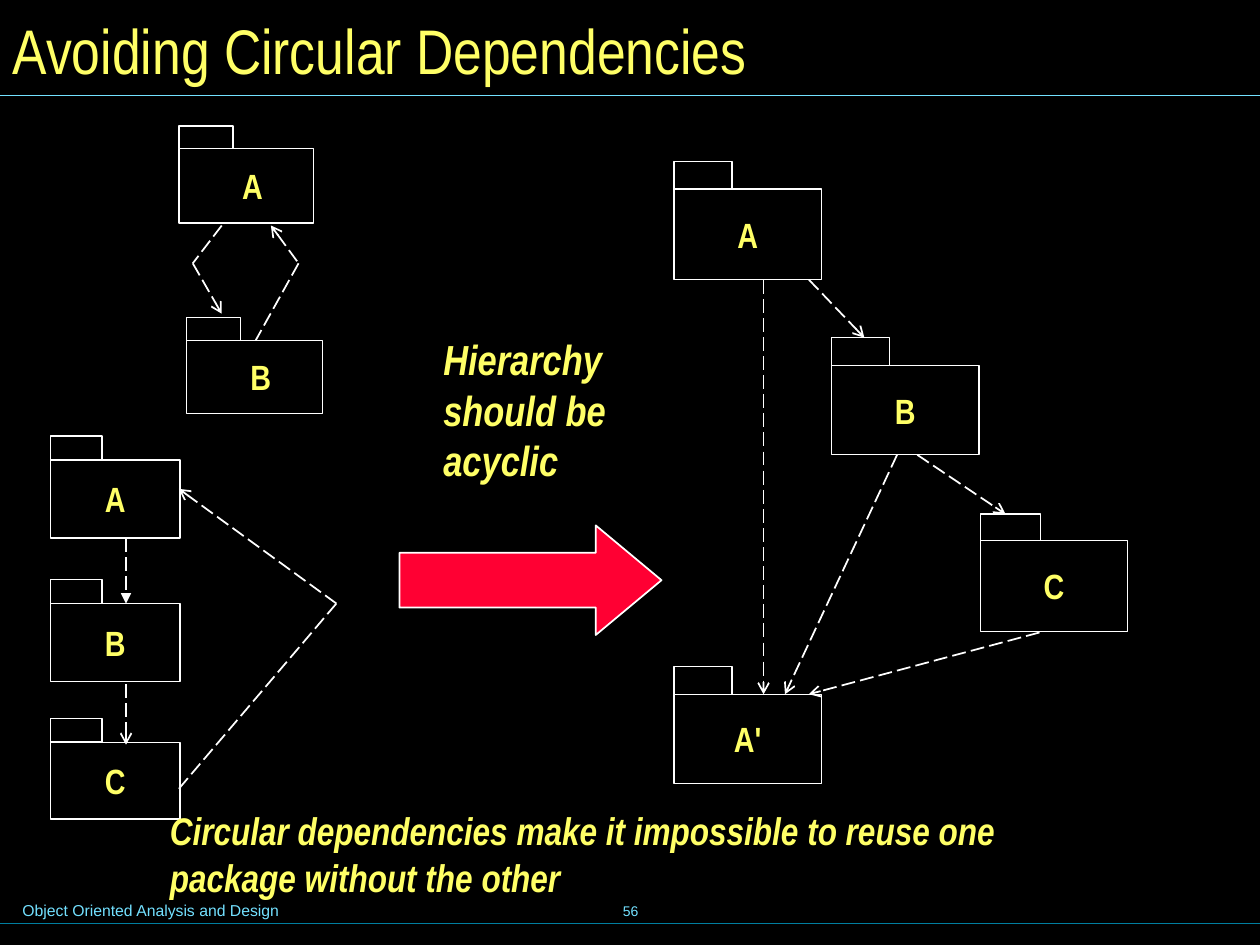
from dataclasses import dataclass

from lxml.etree import SubElement
from pptx import Presentation
from pptx.dml.color import RGBColor
from pptx.enum.dml import MSO_LINE
from pptx.enum.shapes import MSO_CONNECTOR, MSO_SHAPE
from pptx.enum.text import MSO_ANCHOR, PP_ALIGN
from pptx.oxml.ns import qn
from pptx.util import Inches, Pt

HUES = {"back": "000000", "text": "FFFF66", "line": "FFFFFF",
        "foot": "73E1FF", "rule": "007E9F", "arrow": "FF0033"}
HEAD = {"name": "Arial Narrow", "size": Pt(36), "bold": False}
LABEL = {"name": "Arial Narrow", "size": Pt(20), "bold": True}
NOTE = {"name": "Arial Narrow", "size": Pt(24), "bold": True, "italic": True}
FOOT = {"name": "Arial", "size": Pt(9)}


@dataclass
class Folder:
    name: str
    x: float
    y: float  # top of the body
    w: float
    h: float
    tab_w: float
    tab_h: float
    pad: float = 0  # moves the label right by half of this


@dataclass
class Link:
    start: tuple[float, float]
    end: tuple[float, float]
    head: str = ""
    tail: str = "arrow"


FOLDERS = [
    # Two-package cycle
    Folder("A", 1.42, 1.18, 1.07, 0.59, 0.43, 0.18, 0.1),
    Folder("B", 1.48, 2.7, 1.08, 0.58, 0.43, 0.18, 0.1),
    # Three-package cycle
    Folder("A", 0.4, 3.65, 1.03, 0.62, 0.41, 0.19),
    Folder("B", 0.4, 4.79, 1.03, 0.62, 0.41, 0.19),
    Folder("C", 0.4, 5.89, 1.03, 0.61, 0.41, 0.19),
    # Acyclic hierarchy
    Folder("A", 5.35, 1.5, 1.17, 0.72, 0.46, 0.22),
    Folder("B", 6.6, 2.9, 1.17, 0.71, 0.46, 0.22),
    Folder("C", 7.78, 4.29, 1.17, 0.72, 0.48, 0.21),
    Folder("A'", 5.35, 5.51, 1.17, 0.71, 0.46, 0.22),
]
LINKS = [
    # Two-package cycle
    Link((1.76, 1.79), (1.53, 2.09), tail=""),
    Link((1.53, 2.09), (1.76, 2.49)),
    Link((2.15, 1.79), (2.37, 2.09), head="arrow", tail=""),
    Link((2.37, 2.09), (2.03, 2.7), tail=""),
    # Three-package cycle
    Link((1, 4.27), (1, 4.79), tail="triangle"),
    Link((1, 5.43), (1, 5.91)),
    Link((1.42, 6.26), (2.67, 4.79), tail=""),
    Link((2.67, 4.79), (1.42, 3.88)),
    # Acyclic hierarchy
    Link((6.06, 2.22), (6.06, 5.51)),
    Link((6.42, 2.22), (6.86, 2.68)),
    Link((7.28, 3.61), (7.98, 4.08)),
    Link((8.25, 5.02), (6.42, 5.51)),
    Link((7.12, 3.61), (6.23, 5.51)),
]


def hue(key: str) -> RGBColor:
    return RGBColor.from_string(HUES[key])


def write(frame, text: str, style: dict, color: str = "text",
          align=PP_ALIGN.LEFT, anchor=MSO_ANCHOR.TOP) -> None:
    frame.text = text
    frame.word_wrap = True
    frame.vertical_anchor = anchor
    par = frame.paragraphs[0]
    par.alignment = align
    font = par.runs[0].font
    for key, value in style.items():
        setattr(font, key, value)
    font.color.rgb = hue(color)


def add_text(slide, box: tuple, text: str, style: dict, **look) -> None:
    shape = slide.shapes.add_textbox(*map(Inches, box))
    write(shape.text_frame, text, style, **look)


def add_block(slide, kind, box: tuple, width: float, fill: str = ""):
    shape = slide.shapes.add_shape(kind, *map(Inches, box))
    shape.shadow.inherit = False
    if fill:
        shape.fill.solid()
        shape.fill.fore_color.rgb = hue(fill)
    else:
        shape.fill.background()
    shape.line.color.rgb = hue("line")
    shape.line.width = Pt(width)
    return shape


def add_folder(slide, item: Folder) -> None:
    rect = MSO_SHAPE.RECTANGLE
    body = add_block(slide, rect, (item.x, item.y, item.w, item.h), 0)
    add_block(slide, rect,
              (item.x, item.y - item.tab_h, item.tab_w, item.tab_h), 0)
    frame = body.text_frame
    write(frame, item.name, LABEL, align=PP_ALIGN.CENTER,
          anchor=MSO_ANCHOR.MIDDLE)
    frame.margin_left = Inches(item.pad)
    frame.margin_right = frame.margin_top = frame.margin_bottom = 0


def add_line(slide, start: tuple, end: tuple, color: str, width: float):
    line = slide.shapes.add_connector(
        MSO_CONNECTOR.STRAIGHT, *map(Inches, start + end))
    line.line.color.rgb = hue(color)
    line.line.width = Pt(width)
    SubElement(line._element.spPr, qn("a:effectLst"))
    return line


def add_link(slide, item: Link) -> None:
    line = add_line(slide, item.start, item.end, "line", 1).line
    line.dash_style = MSO_LINE.LONG_DASH
    for tag, kind in (("a:headEnd", item.head), ("a:tailEnd", item.tail)):
        if kind:
            SubElement(line._get_or_add_ln(), qn(tag), type=kind)


def main() -> None:
    deck = Presentation()
    deck.slide_width, deck.slide_height = Inches(10), Inches(7.5)
    slide = deck.slides.add_slide(deck.slide_layouts[5])
    slide.background.fill.solid()
    slide.background.fill.fore_color.rgb = hue("back")

    # Title
    title = slide.shapes.title
    title.left, title.top = Inches(0), Inches(0)
    title.width, title.height = Inches(9.93), Inches(0.78)
    write(title.text_frame, "Avoiding Circular Dependencies", HEAD,
          anchor=MSO_ANCHOR.MIDDLE)

    # Footer and rules
    add_text(slide, (0.08, 7.1, 5.1, 0.25),
             "Object Oriented Analysis and Design", FOOT, color="foot")
    add_text(slide, (3.42, 6.98, 3.17, 0.5), "56", FOOT | {"size": Pt(8)},
             color="foot", align=PP_ALIGN.CENTER, anchor=MSO_ANCHOR.MIDDLE)
    add_line(slide, (0, 7.33), (10, 7.33), "rule", 0.75)
    add_line(slide, (0, 0.76), (10, 0.76), "foot", 0.75)

    # Package diagrams
    for item in FOLDERS:
        add_folder(slide, item)
    for item in LINKS:
        add_link(slide, item)

    # Arrow and remarks
    arrow = add_block(slide, MSO_SHAPE.RIGHT_ARROW,
                      (3.17, 4.17, 2.08, 0.87), 1, "arrow")
    arrow.adjustments[1] = 0.6
    add_text(slide, (3.42, 2.6, 2.06, 1.3),
             "Hierarchy should be acyclic", NOTE)
    add_text(slide, (1.25, 6.36, 7.37, 0.84),
             "Circular dependencies make it impossible to reuse one "
             "package without the other", NOTE | {"size": Pt(22)})

    deck.save("out.pptx")


if __name__ == "__main__":
    main()
